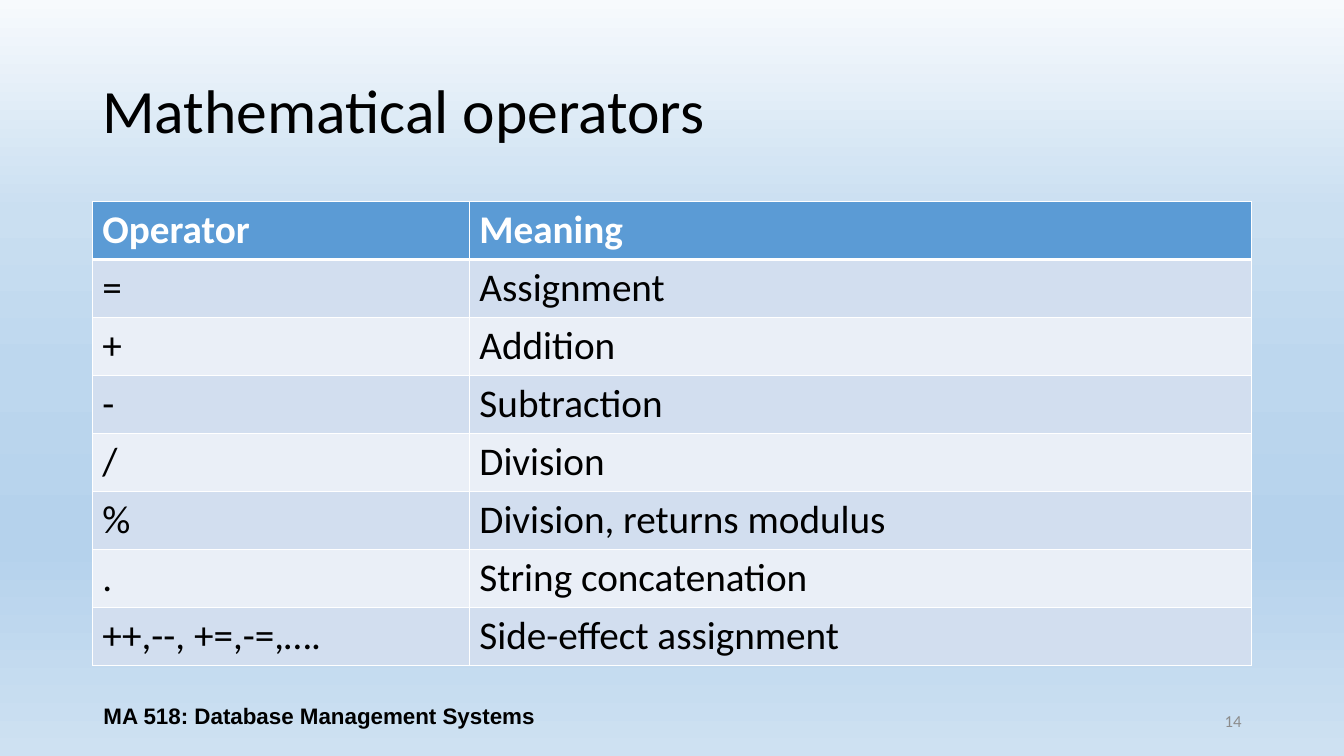
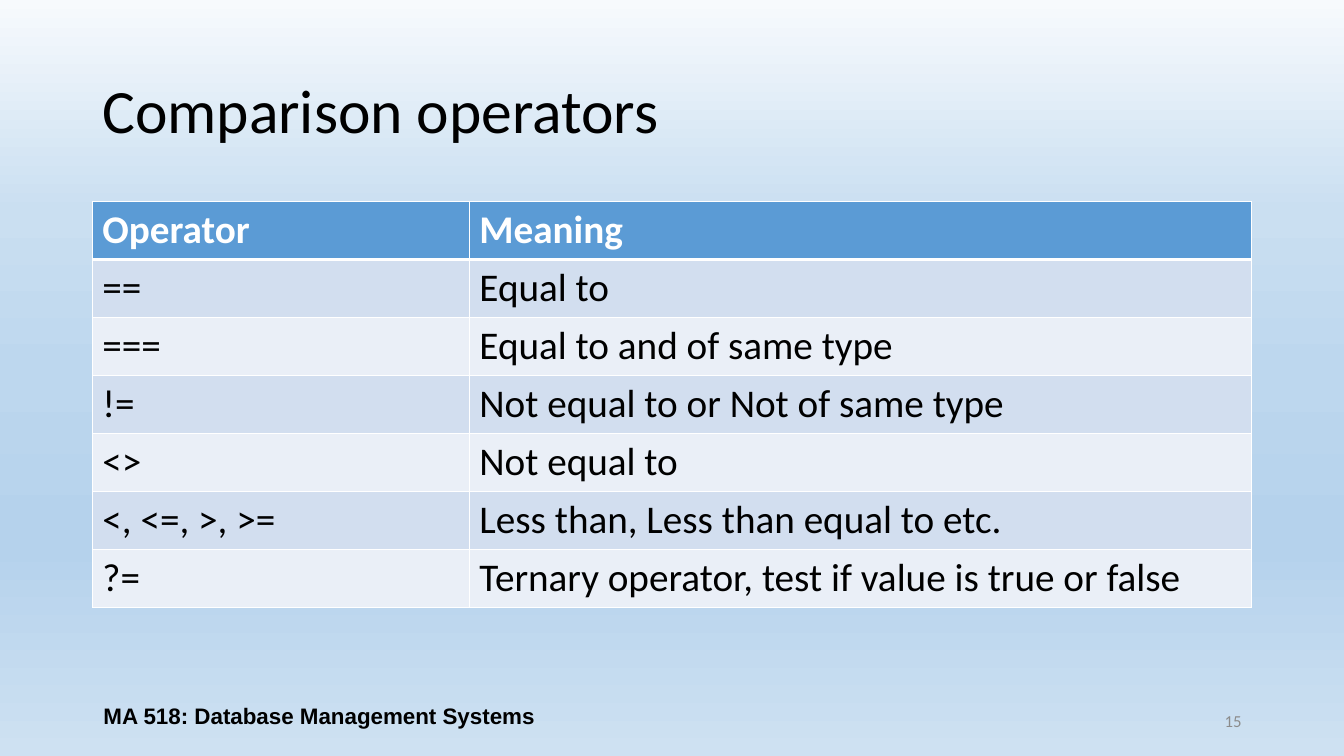
from dataclasses import dataclass

from lxml import etree
from pptx import Presentation
from pptx.dml.color import RGBColor
from pptx.enum.text import MSO_ANCHOR, PP_ALIGN
from pptx.oxml.ns import qn
from pptx.util import Pt

LEFT, CENTER, RIGHT = PP_ALIGN.LEFT, PP_ALIGN.CENTER, PP_ALIGN.RIGHT
MIDDLE = MSO_ANCHOR.MIDDLE


@dataclass(frozen=True)
class Theme:
    black: str = "000000"
    white: str = "FFFFFF"
    gray: str = "8C8C8C"
    header: str = "5B9BD5"
    bands: tuple = ("D2DEEF", "EAEFF7")
    background: tuple = (
        (0, "F7FAFD"), (28, "CADFF1"), (49, "BDD7EE"),
        (71, "B5D2EC"), (72, "B5D2EC"), (100, "CEE1F2"),
    )
    body_font: str = "Calibri"
    footer_font: str = "Arial"
    title_size: int = 44
    table_size: int = 28
    footer_size: int = 16
    number_size: int = 12
    thin_border: int = 1
    thick_border: int = 3


THEME = Theme()
MARGIN = 66
CONTENT_WIDTH = 828
COLUMN_WIDTHS = (269.3, 558.7)
ROW_HEIGHT = 41.4
COURSE = "MA 518: Database Management Systems"
FIRST_NUMBER = 14
HEADINGS = ("Operator", "Meaning")
SLIDES = (
    ("Mathematical operators", (
        ("=", "Assignment"),
        ("+", "Addition"),
        ("-", "Subtraction"),
        ("/", "Division"),
        ("%", "Division, returns modulus"),
        (".", "String concatenation"),
        ("++,--, +=,-=,….", "Side-effect assignment"),
    )),
    ("Comparison operators", (
        ("==", "Equal to"),
        ("===", "Equal to and of same type"),
        ("!=", "Not equal to or Not of same type"),
        ("<>", "Not equal to"),
        ("<, <=, >, >=", "Less than, Less than equal to etc."),
        ("?=", "Ternary operator, test if value is true or false"),
    )),
)


def write_text(frame, text, size, color=THEME.black, font=THEME.body_font,
               bold=False, align=LEFT, line_spacing=1.0):
    paragraph = frame.paragraphs[0]
    paragraph.alignment = align
    paragraph.line_spacing = line_spacing
    run = paragraph.add_run()
    run.text = text
    run.font.name = font
    run.font.size = Pt(size)
    run.font.bold = bold
    run.font.color.rgb = RGBColor.from_string(color)


def add_color(parent, color):
    etree.SubElement(parent, qn("a:srgbClr"), val=color)


class Deck:
    def __init__(self, theme):
        self.theme = theme
        self.presentation = Presentation()
        self.presentation.slide_width = Pt(960)
        self.presentation.slide_height = Pt(540)
        self.slide = None
        self.paint_background()

    def paint_background(self):
        master = self.presentation.slide_master
        fill = master.background.fill
        fill.gradient()
        fill.gradient_angle = 270
        stops = next(master.element.iter(qn("a:gsLst")))
        for stop in list(stops):
            stops.remove(stop)
        for position, color in self.theme.background:
            stop = etree.SubElement(stops, qn("a:gs"), pos=str(position * 1000))
            add_color(stop, color)

    def new_slide(self):
        self.slide = self.presentation.slides.add_slide(
            self.presentation.slide_layouts[6])

    def text_box(self, text, left, top, width, height, **text_format):
        shape = self.slide.shapes.add_textbox(
            Pt(left), Pt(top), Pt(width), Pt(height))
        shape.text_frame.word_wrap = True
        shape.text_frame.vertical_anchor = MIDDLE
        write_text(shape.text_frame, text, **text_format)

    def title(self, text):
        self.text_box(text, MARGIN, 28.75, CONTENT_WIDTH, 104.4,
                      size=self.theme.title_size, line_spacing=0.9)

    def footer(self, number):
        self.text_box(str(number), 678, 500.5, 216, 28.75, align=RIGHT,
                      size=self.theme.number_size, color=self.theme.gray)
        self.text_box(COURSE, MARGIN, 497, 324, 28.75, align=CENTER, bold=True,
                      size=self.theme.footer_size, font=self.theme.footer_font)

    def borders(self, cell, row_index):
        widths = dict.fromkeys(("L", "R", "T", "B"), self.theme.thin_border)
        if row_index == 0:
            widths["B"] = self.theme.thick_border
        elif row_index == 1:
            widths["T"] = self.theme.thick_border
        properties = cell._tc.get_or_add_tcPr()
        for side, width in widths.items():
            line = etree.SubElement(properties, qn(f"a:ln{side}"), w=str(Pt(width)))
            add_color(etree.SubElement(line, qn("a:solidFill")), self.theme.white)

    def table(self, rows):
        table = self.slide.shapes.add_table(
            len(rows), len(COLUMN_WIDTHS), Pt(MARGIN), Pt(144),
            Pt(CONTENT_WIDTH), Pt(ROW_HEIGHT * len(rows))).table
        table.horz_banding = False
        for column, width in zip(table.columns, COLUMN_WIDTHS):
            column.width = Pt(width)
        for row_index, values in enumerate(rows):
            table.rows[row_index].height = Pt(ROW_HEIGHT)
            is_header = row_index == 0
            fill = self.theme.header if is_header else self.theme.bands[(row_index - 1) % 2]
            color = self.theme.white if is_header else self.theme.black
            for column_index, value in enumerate(values):
                cell = table.cell(row_index, column_index)
                self.borders(cell, row_index)
                cell.fill.solid()
                cell.fill.fore_color.rgb = RGBColor.from_string(fill)
                write_text(cell.text_frame, value, size=self.theme.table_size,
                           color=color, bold=is_header)


def main():
    deck = Deck(THEME)
    for number, (title, operators) in enumerate(SLIDES, FIRST_NUMBER):
        deck.new_slide()
        deck.title(title)
        deck.table((HEADINGS, *operators))
        deck.footer(number)
    deck.presentation.save("out.pptx")


if __name__ == "__main__":
    main()
